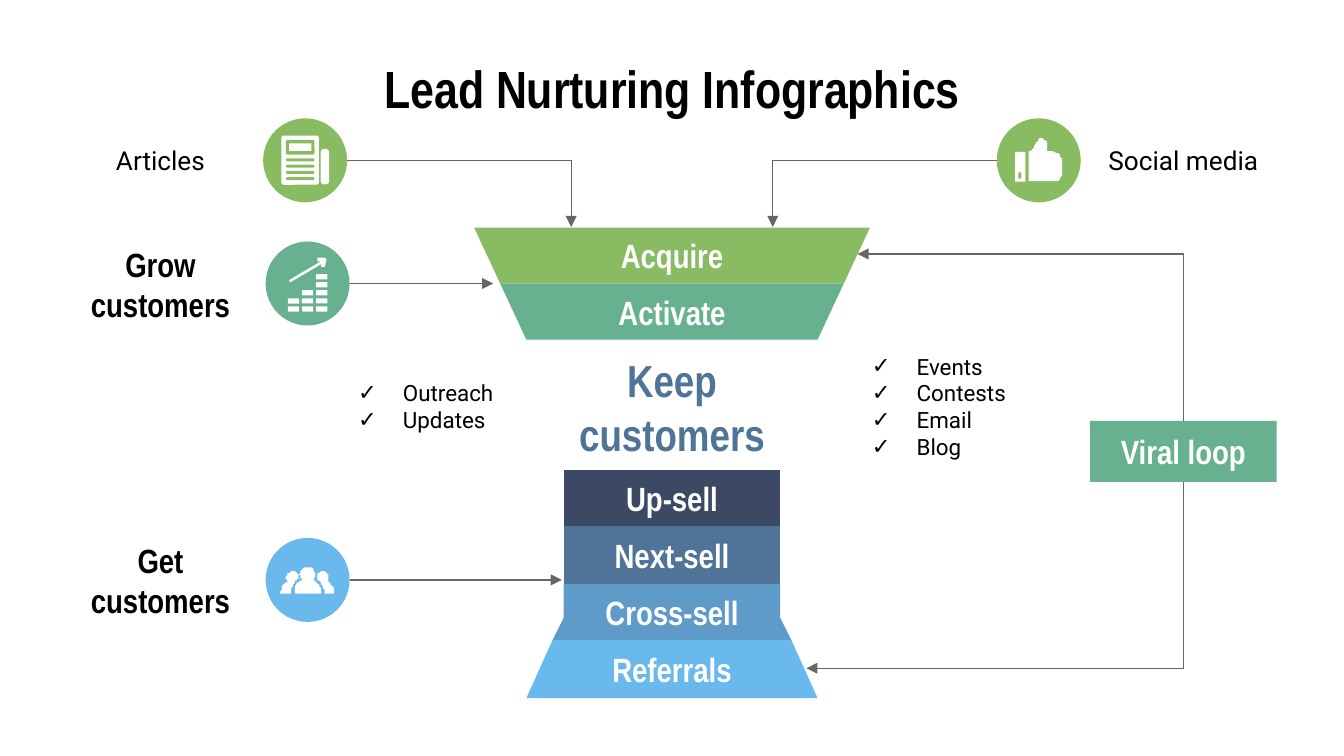
from lxml.etree import SubElement as Sub
from pptx import Presentation
from pptx.dml.color import RGBColor as RGB
from pptx.enum.shapes import MSO_CONNECTOR as Link, MSO_SHAPE as Kind
from pptx.enum.text import MSO_ANCHOR as Anchor, PP_ALIGN as Align
from pptx.oxml.ns import qn
from pptx.util import Pt

GREEN, TEAL, SKY = RGB(0x89, 0xBB, 0x63), RGB(0x67, 0xB1, 0x90), RGB(0x69, 0xB9, 0xEC)
NAVY, STEEL, BLUE = RGB(0x3C, 0x49, 0x64), RGB(0x4F, 0x74, 0x98), RGB(0x5F, 0x9B, 0xC9)
GREY, BLACK, WHITE = RGB(0x66, 0x66, 0x66), RGB(0, 0, 0), RGB(255, 255, 255)
HEAD, BODY = "Arial Narrow", "Roboto"
DISC = 45  # diameter of an icon disc


def paint(shape, color):
    shape.shadow.inherit = False
    shape.fill.solid()
    shape.fill.fore_color.rgb = color
    shape.line.fill.background()
    return shape


def block(shapes, kind, box, color, round=None):
    shape = paint(shapes.add_shape(kind, *map(Pt, box)), color)
    if round is not None:
        shape.adjustments[0] = round
    return shape


def write(shape, lines, size, font=HEAD, color=BLACK, bold=True, ticks=False):
    frame = shape.text_frame
    frame.word_wrap = True
    frame.vertical_anchor = Anchor.MIDDLE
    frame.margin_left = frame.margin_right = Pt(7.2)
    frame.margin_top = frame.margin_bottom = Pt(7.2)
    for i, line in enumerate(lines):
        para = frame.paragraphs[0] if i == 0 else frame.add_paragraph()
        para.alignment = Align.LEFT if ticks else Align.CENTER
        if ticks:
            tick(para)
        run = para.add_run()
        run.text = line
        run.font.name, run.font.size, run.font.bold = font, Pt(size), bold
        run.font.color.rgb = color


def tick(para):
    """Give the paragraph a hanging check mark."""
    props = para._p.get_or_add_pPr()
    props.set("marL", str(Pt(36)))
    props.set("indent", str(Pt(-24)))
    Sub(Sub(props, qn("a:buClr")), qn("a:srgbClr")).set("val", str(BLACK))
    Sub(props, qn("a:buFont")).set("typeface", BODY)
    Sub(props, qn("a:buChar")).set("char", "✓")


def label(shapes, box, *lines, size=18, **look):
    write(shapes.add_textbox(*map(Pt, box)), lines, size, **look)


def arrow(shapes, start, end, tip="tailEnd", bent=False):
    """Draw a link; a bent one runs across first, then up or down."""
    link = shapes.add_connector(Link.ELBOW if bent else Link.STRAIGHT,
                                *map(Pt, start + end))
    props = link.element.spPr
    if bent:
        props.find(qn("a:prstGeom")).set("prst", "bentConnector2")
    link.line.color.rgb, link.line.width = GREY, Pt(0.75)
    Sub(props.find(qn("a:ln")), qn("a:" + tip)).set("type", "triangle")
    Sub(props, qn("a:effectLst"))
    return link


def trace(steps):
    """Turn corners (x, y) and cubic curves (six numbers) into points."""
    points = []
    for step in steps:
        if len(step) == 2:
            points.append(step)
            continue
        chain = [points[-1], step[:2], step[2:4], step[4:]]
        for t in (k / 6 for k in range(1, 7)):
            parts = ((1 - t) ** 3, 3 * t * (1 - t) ** 2, 3 * t * t * (1 - t), t ** 3)
            points.append(tuple(sum(a * p[i] for a, p in zip(parts, chain))
                                for i in (0, 1)))
    return points


def outline(shapes, x, y, points, color=WHITE):
    points = [(x + px, y + py) for px, py in points]
    form = shapes.build_freeform(*points[0], scale=Pt(1))
    form.add_line_segments(points[1:], close=True)
    return paint(form.convert_to_shape(), color)


def mirror(points):
    return [(DISC - px, py) for px, py in reversed(points)]


def paper(shapes, x, y):
    block(shapes, Kind.ROUNDED_RECTANGLE, (x + 9.8, y + 9.2, 20, 26.4), WHITE, 0.06)
    block(shapes, Kind.ROUNDED_RECTANGLE, (x + 12.2, y + 11.5, 15.3, 7.9), GREEN, 0.12)
    block(shapes, Kind.RECTANGLE, (x + 13.9, y + 13.4, 11.9, 4.1), WHITE)
    for i in range(4):
        block(shapes, Kind.ROUNDED_RECTANGLE,
              (x + 12.2, y + 21.5 + 3.35 * i, 15.3, 1.6), GREEN, 0.5)
    block(shapes, Kind.ROUNDED_RECTANGLE, (x + 30.8, y + 16.4, 4.5, 19), WHITE, 0.4)


def thumb(shapes, x, y):
    block(shapes, Kind.RECTANGLE, (x + 9.8, y + 18, 5.6, 16), WHITE)
    block(shapes, Kind.ROUNDED_RECTANGLE, (x + 11.6, y + 28.8, 1.5, 3.6), GREEN, 0.5)
    outline(shapes, x, y, trace([
        (24, 10.8), (23.3, 10.8, 22.3, 11, 21.8, 11.8),
        (21.4, 12.5, 21, 13.5, 20.4, 14.6), (19.6, 16.2, 18.5, 17.6, 16.8, 18),
        (16.8, 34), (30.5, 34), (32.8, 34, 34.8, 32, 34.8, 29.6), (34.8, 22.3),
        (34.8, 20, 32.8, 18, 30.5, 18), (26.2, 18),
        (26.4, 17.6, 26.7, 17.2, 26.8, 16.6), (27.2, 15, 27.2, 13.6, 26.6, 12.2),
        (26, 11.2, 25, 10.8, 24, 10.8)]))


def people(shapes, x, y):
    side = trace([
        (14.6, 18), (12.5, 18, 11, 19.5, 11, 21.4), (11, 22.2, 11.3, 22.8, 11.7, 23.3),
        (9.6, 24, 8.1, 26.5, 8.1, 28.9), (8.1, 29.3, 8.2, 29.5, 8.6, 29.5),
        (13.6, 29.5), (13.8, 26.9, 14.7, 24.7, 16.2, 23.1),
        (16.6, 22.6, 17, 22.2, 17.6, 21.8), (17.8, 19.5, 16.4, 18, 14.6, 18)])
    half = trace([
        (22.5, 15.8), (20.2, 15.8, 18.2, 17.4, 18.2, 19.6),
        (18.2, 20.8, 18.8, 21.7, 19.7, 22.4), (18.5, 22.9, 17.5, 23.6, 16.8, 24.6),
        (15.8, 25.8, 15.3, 27.2, 15.3, 28.8), (15.3, 29.3, 15.5, 29.5, 16, 29.5)])
    for points in (side, mirror(side), half + mirror(half)):
        outline(shapes, x, y, points)


def growth(shapes, x, y):
    for col, count in enumerate((2, 3, 5)):
        for row in range(count):
            ends = row in (0, count - 1)
            part = block(shapes, Kind.ROUND_2_SAME_RECTANGLE if ends else Kind.RECTANGLE,
                         (x + 11.9 + 7.6 * col, y + 34.7 - 4.32 * row, 6, 2.8), WHITE)
            part.rotation = 180 if row == 0 else 0
    outline(shapes, x, y, trace([
        (28.3, 8.6), (27.1, 8.6, 27.1, 10.2, 28.3, 10.3), (29.2, 10.4), (13, 20.4),
        (12.2, 21, 12.7, 22.2, 13.7, 21.9), (30.3, 11.7), (29.9, 12.8),
        (29.7, 14.1, 31, 14.3, 31.4, 13.3), (32.4, 10),
        (32.6, 9.5, 32.3, 9, 31.8, 8.9)]))


def source(shapes, x, y, color, icon):
    block(shapes, Kind.OVAL, (x, y, DISC, DISC), color)
    icon(shapes, x, y)


def funnel(shapes, mid, top, bands):
    """Stack bands; each edge gives a depth and a half width."""
    for i, (name, color, *edge) in enumerate(bands):
        y = top + 30.45 * i
        left = [(-half, down) for down, half in edge]
        right = [(half, down) for down, half in reversed(edge)]
        outline(shapes, mid, y, left + right, color)
        label(shapes, (mid - 45, y + 6.1, 90, 18), name, color=WHITE)


def loop(shapes, x, y, w, h):
    box = block(shapes, Kind.RECTANGLE, (x, y, w, h), TEAL)
    write(box, ["Viral loop"], 18, color=WHITE)
    mid = x + w / 2
    for start, end, site in (((459.4, 136.1), (mid, y), 0),
                             ((432, 358), (mid, y + h), 2)):
        arrow(shapes, start, end, "headEnd", bent=True).end_connect(box, site)


def center(shapes, x, y, w, h):
    """Place the middle heading with a check list on either side."""
    label(shapes, (x, y, w, h), "Keep customers", size=24, color=STEEL)
    for left, items in ((x - 115.2, ("Outreach", "Updates")),
                        (x + 160, ("Events", "Contests", "Email", "Blog"))):
        label(shapes, (left, y, 100, h), *items, size=12, font=BODY,
              bold=False, ticks=True)


def main():
    deck = Presentation()
    deck.slide_width, deck.slide_height = Pt(720), Pt(405)
    shapes = deck.slides.add_slide(deck.slide_layouts[6]).shapes
    label(shapes, (36, 32.4, 648, 29.5), "Lead Nurturing Infographics", size=28)

    funnel(shapes, 360, 121.6, (("Acquire", GREEN, (0, 105.8), (30.45, 91.9)),
                                ("Activate", TEAL, (0, 91.9), (30.45, 78))))
    funnel(shapes, 360, 251.9, (
        ("Up-sell", NAVY, (0, 58.4), (30.45, 58.4)),
        ("Next-sell", STEEL, (0, 58.4), (30.45, 58.4)),
        ("Cross-sell", BLUE, (0, 58.4), (18.4, 58.4), (30.45, 63.9)),
        ("Referrals", SKY, (0, 63.9), (30.45, 78))))
    center(shapes, 288, 186, 144, 63.4)

    for x, y, color, icon in ((141, 63.4, GREEN, paper), (534, 63.4, GREEN, thumb),
                              (142.3, 129.4, TEAL, growth), (142.3, 288.2, SKY, people)):
        source(shapes, x, y, color, icon)
    for x, name in ((36, "Articles"), (584, "Social media")):
        label(shapes, (x, 77, 100, 18), name, size=14, font=BODY, bold=False)
    for y, name in ((133.9, "Grow customers"), (292.3, "Get customers")):
        label(shapes, (36, y, 100, 36.7), name)

    arrow(shapes, (186, 85.9), (306, 121.6), bent=True)
    arrow(shapes, (534, 85.9), (414, 121.6), bent=True)
    arrow(shapes, (187.3, 151.9), (264.2, 151.9))
    arrow(shapes, (187.3, 310.7), (301, 310.7))
    loop(shapes, 584, 225.5, 100, 32.7)
    deck.save("out.pptx")


if __name__ == "__main__":
    main()
